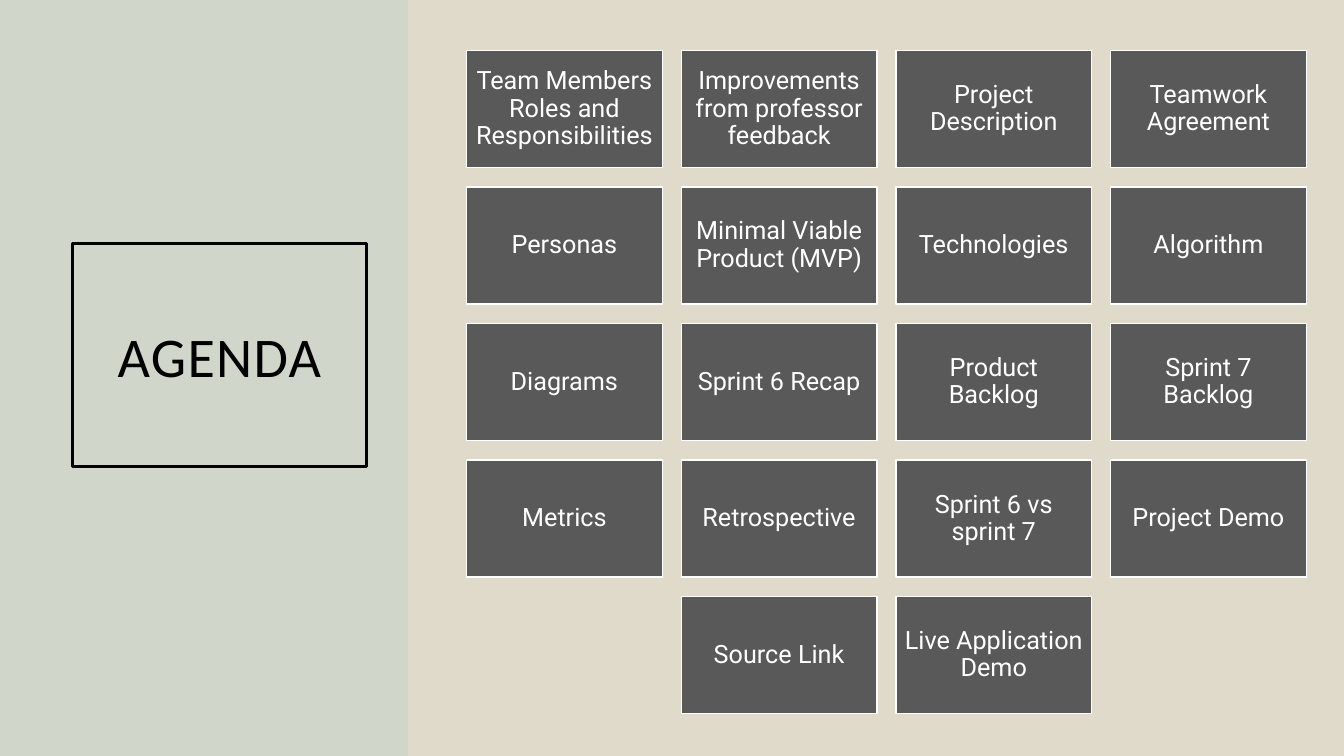
from lxml import etree
from pptx import Presentation
from pptx import util as u
from pptx.dml.color import RGBColor
from pptx.enum import shapes, text
from pptx.oxml.ns import qn

SAND = RGBColor(0xD3, 0xCB, 0xB6)
TEAL = RGBColor(0x4A, 0xB5, 0xC4)
GREY = RGBColor(0x59, 0x59, 0x59)
BLACK = RGBColor(0x00, 0x00, 0x00)
WHITE = RGBColor(0xFF, 0xFF, 0xFF)

SLIDE_WIDTH, SLIDE_HEIGHT = u.Cm(33.87), u.Cm(19.05)
COLUMNS = 4
GRID_LEFT, GRID_TOP = 11.76, 1.27
TILE_WIDTH, TILE_HEIGHT = 4.93, 2.95
PITCH_X, PITCH_Y = 5.41, 3.44

TOPICS = [
    ["Team Members Roles and Responsibilities", "Improvements from professor feedback",
     "Project Description", "Teamwork Agreement"],
    ["Personas", "Minimal Viable Product (MVP)", "Technologies", "Algorithm"],
    ["Diagrams", "Sprint 6 Recap", "Product Backlog", "Sprint 7 Backlog"],
    ["Metrics", "Retrospective", "Sprint 6 vs sprint 7", "Project Demo"],
    ["Source Link", "Live Application Demo"],
]


def add_rectangle(slide, left, top, width, height, color):
    shape = slide.shapes.add_shape(
        shapes.MSO_SHAPE.RECTANGLE, left, top, width, height)
    shape.shadow.inherit = False
    shape.fill.solid()
    shape.fill.fore_color.rgb = color
    return shape


def add_backdrop(slide, width, color, opacity):
    """Add a full-height translucent panel just behind the title."""
    panel = add_rectangle(slide, 0, 0, width, SLIDE_HEIGHT, color)
    panel.line.fill.background()
    rgb = panel.element.spPr.find(qn("a:solidFill")).find(qn("a:srgbClr"))
    etree.SubElement(rgb, qn("a:alpha"), val=str(opacity * 1000))
    slide.shapes.title.element.addprevious(panel.element)


def write_centred(shape, words, font_name, size, color, line_spacing):
    frame = shape.text_frame
    frame.word_wrap = True
    frame.auto_size = text.MSO_AUTO_SIZE.NONE
    frame.vertical_anchor = text.MSO_ANCHOR.MIDDLE
    paragraph = frame.paragraphs[0]
    paragraph.alignment = text.PP_ALIGN.CENTER
    paragraph.line_spacing = line_spacing
    run = paragraph.add_run()
    run.text = words
    run.font.name = font_name
    run.font.size = u.Pt(size)
    run.font.color.rgb = color


def format_title(title):
    title.left, title.top = u.Cm(1.82), u.Cm(6.14)
    title.width, title.height = u.Cm(7.42), u.Cm(5.61)
    title.line.color.rgb = BLACK
    title.line.width = u.Pt(2.25)
    write_centred(title, "AGENDA", "Calibri", 40, BLACK, 1.0)
    for run_properties in title.element.iter(qn("a:rPr")):
        run_properties.set("spc", "100")


def add_tile(slide, column, row, topic):
    tile = add_rectangle(
        slide, u.Cm(GRID_LEFT + column * PITCH_X), u.Cm(GRID_TOP + row * PITCH_Y),
        u.Cm(TILE_WIDTH), u.Cm(TILE_HEIGHT), GREY)
    tile.line.color.rgb = WHITE
    tile.line.width = u.Pt(1)
    frame = tile.text_frame
    frame.margin_left = frame.margin_right = u.Cm(0.18)
    frame.margin_top = frame.margin_bottom = u.Cm(0.18)
    write_centred(tile, topic, "Roboto", 18, WHITE, 0.9)


def add_topic_grid(slide):
    """Lay out the topics row by row, centring a short row."""
    for row, topics in enumerate(TOPICS):
        first_column = (COLUMNS - len(topics)) / 2
        for index, topic in enumerate(topics):
            add_tile(slide, first_column + index, row, topic)


def main():
    presentation = Presentation()
    presentation.slide_width = SLIDE_WIDTH
    presentation.slide_height = SLIDE_HEIGHT
    slide = presentation.slides.add_slide(presentation.slide_layouts[5])
    add_backdrop(slide, SLIDE_WIDTH, SAND, 70)
    add_backdrop(slide, u.Cm(10.28), TEAL, 10)
    format_title(slide.shapes.title)
    add_topic_grid(slide)
    presentation.save("out.pptx")


if __name__ == "__main__":
    main()
